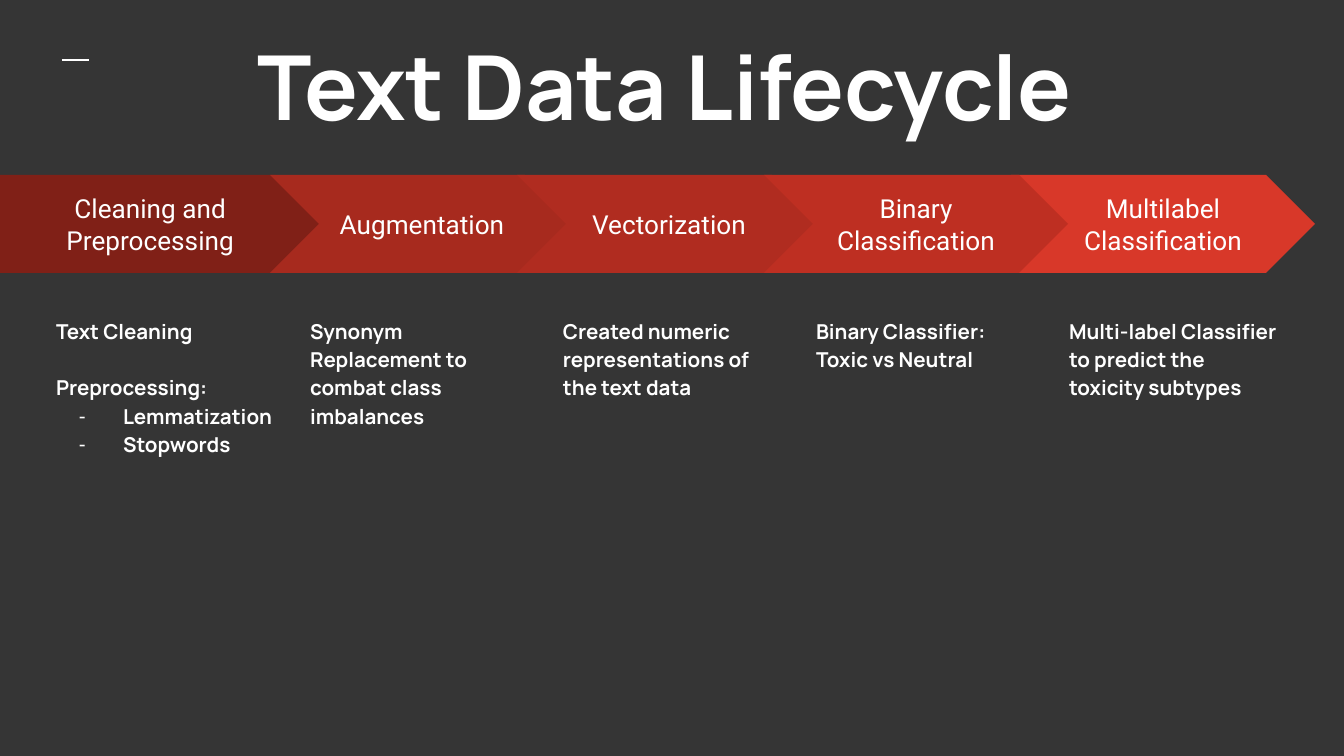
from lxml import etree
from pptx import Presentation
from pptx import util as u
from pptx.dml.color import RGBColor
from pptx.enum import shapes, text
from pptx.oxml import ns

SCALE = 9144000 / 1344  # EMU per px
INSET = 13
COLOURS = {
    "background": "353535",
    "text": "FFFFFF",
    "cleaning": "802017",
    "augmentation": "A72A1E",
    "vectorization": "B02C20",
    "binary": "BE2F22",
    "multilabel": "D83829",
}
STAGES = [
    ("cleaning", "Cleaning and Preprocessing"),
    ("augmentation", "Augmentation"),
    ("vectorization", "Vectorization"),
    ("binary", "Binary Classification"),
    ("multilabel", "Multilabel Classification"),
]
NOTES = [
    "Synonym Replacement to combat class imbalances",
    "Created numeric representations of the text data",
    "Binary Classifier: Toxic vs Neutral",
    "Multi-label Classifier to predict the toxicity subtypes",
]
# Text, bulleted, space before in points
CLEANING_STEPS = [
    ("Text Cleaning", False, 0),
    ("Preprocessing:", False, 15.25),
    ("Lemmatization", True, 0),
    ("Stopwords", True, 0),
]


def px(value):
    return u.Emu(round(value * SCALE))


def colour(name):
    return RGBColor.from_string(COLOURS[name])


class LifecycleSlide:
    heading_font = "Manrope"
    stage_font = "Roboto"

    def __init__(self, presentation):
        self.slide = presentation.slides.add_slide(presentation.slide_layouts[1])
        fill = self.slide.background.fill
        fill.solid()
        fill.fore_color.rgb = colour("background")

    def place(self, shape, left, top, width, height):
        shape.left, shape.top = px(left), px(top)
        shape.width, shape.height = px(width), px(height)

    def frame(self, shape, anchor):
        frame = shape.text_frame
        frame.word_wrap = True
        frame.auto_size = text.MSO_AUTO_SIZE.NONE
        frame.vertical_anchor = anchor
        frame.margin_left = frame.margin_right = px(INSET)
        frame.margin_top = frame.margin_bottom = px(INSET)
        return frame

    def format(self, paragraph, font, size, bold=False, align=text.PP_ALIGN.LEFT):
        paragraph.alignment = align
        for run in paragraph.runs:
            run.font.name = font
            run.font.size = u.Pt(size)
            run.font.bold = bold
            run.font.color.rgb = colour("text")

    def indent(self, paragraph, margin, first=0, bullet=None):
        properties = paragraph._p.get_or_add_pPr()
        properties.set("marL", str(px(margin)))
        properties.set("indent", str(px(first)))
        if bullet:
            bullet_colour = etree.SubElement(properties, ns.qn("a:buClr"))
            etree.SubElement(bullet_colour, ns.qn("a:srgbClr"), val=COLOURS["text"])
            etree.SubElement(properties, ns.qn("a:buChar"), char=bullet)
        else:
            etree.SubElement(properties, ns.qn("a:buNone"))

    def title(self, wording, box, margin):
        shape = self.slide.shapes.title
        self.place(shape, *box)
        frame = self.frame(shape, text.MSO_ANCHOR.MIDDLE)
        frame.text = wording
        self.format(frame.paragraphs[0], self.heading_font, 48, bold=True)
        self.indent(frame.paragraphs[0], margin)

    def line(self, start, end):
        connector = self.slide.shapes.add_connector(
            shapes.MSO_CONNECTOR.STRAIGHT, *map(px, start + end))
        connector.line.color.rgb = colour("text")
        connector.line.width = u.Pt(1.5)
        etree.SubElement(connector._element.spPr, ns.qn("a:effectLst"))

    def stage(self, preset, name, wording, left, top, width, height):
        shape = self.slide.shapes.add_shape(preset, *map(px, (left, top, width, height)))
        shape.shadow.inherit = False
        shape.fill.solid()
        shape.fill.fore_color.rgb = colour(name)
        shape.line.fill.background()
        frame = self.frame(shape, text.MSO_ANCHOR.MIDDLE)
        frame.text = wording
        self.format(frame.paragraphs[0], self.stage_font, 14, align=text.PP_ALIGN.CENTER)

    def note_style(self, paragraph, space_before=0):
        paragraph.line_spacing = 1.15
        paragraph.space_before = u.Pt(space_before)
        self.format(paragraph, self.heading_font, 11, bold=True)

    def note(self, wording, left, top, width, height):
        shape = self.slide.shapes.add_textbox(*map(px, (left, top, width, height)))
        frame = self.frame(shape, text.MSO_ANCHOR.TOP)
        frame.text = wording
        self.note_style(frame.paragraphs[0])

    def step_list(self, steps, *box):
        shape = self.slide.placeholders[1]
        self.place(shape, *box)
        frame = self.frame(shape, text.MSO_ANCHOR.TOP)
        frame.text = "\n".join(wording for wording, _, _ in steps)
        for paragraph, (_, bulleted, space_before) in zip(frame.paragraphs, steps):
            self.note_style(paragraph, space_before)
            if bulleted:
                self.indent(paragraph, 67, -44, "-")
            else:
                self.indent(paragraph, 0)


def main():
    presentation = Presentation()
    presentation.slide_width, presentation.slide_height = px(1344), px(756)
    slide = LifecycleSlide(presentation)

    # Heading
    slide.line((62, 60), (89, 60))
    slide.title("Text Data Lifecycle", (42, 31, 1222, 107), margin=202)

    # Arrow band; the binary stage lies over the multilabel one
    for index in (0, 1, 2, 4, 3):
        name, wording = STAGES[index]
        if index == 0:
            slide.stage(shapes.MSO_SHAPE.PENTAGON, name, wording, 0, 175, 325, 98)
        else:
            left = 270 + 247 * (index - 1)
            slide.stage(shapes.MSO_SHAPE.CHEVRON, name, wording, left, 175, 304, 98)

    # Notes under the stages
    slide.step_list(CLEANING_STEPS, 43, 302, 254, 402)
    for column, wording in enumerate(NOTES):
        slide.note(wording, 297 + 253 * column, 302, 239, 345)

    presentation.save("out.pptx")


if __name__ == "__main__":
    main()
